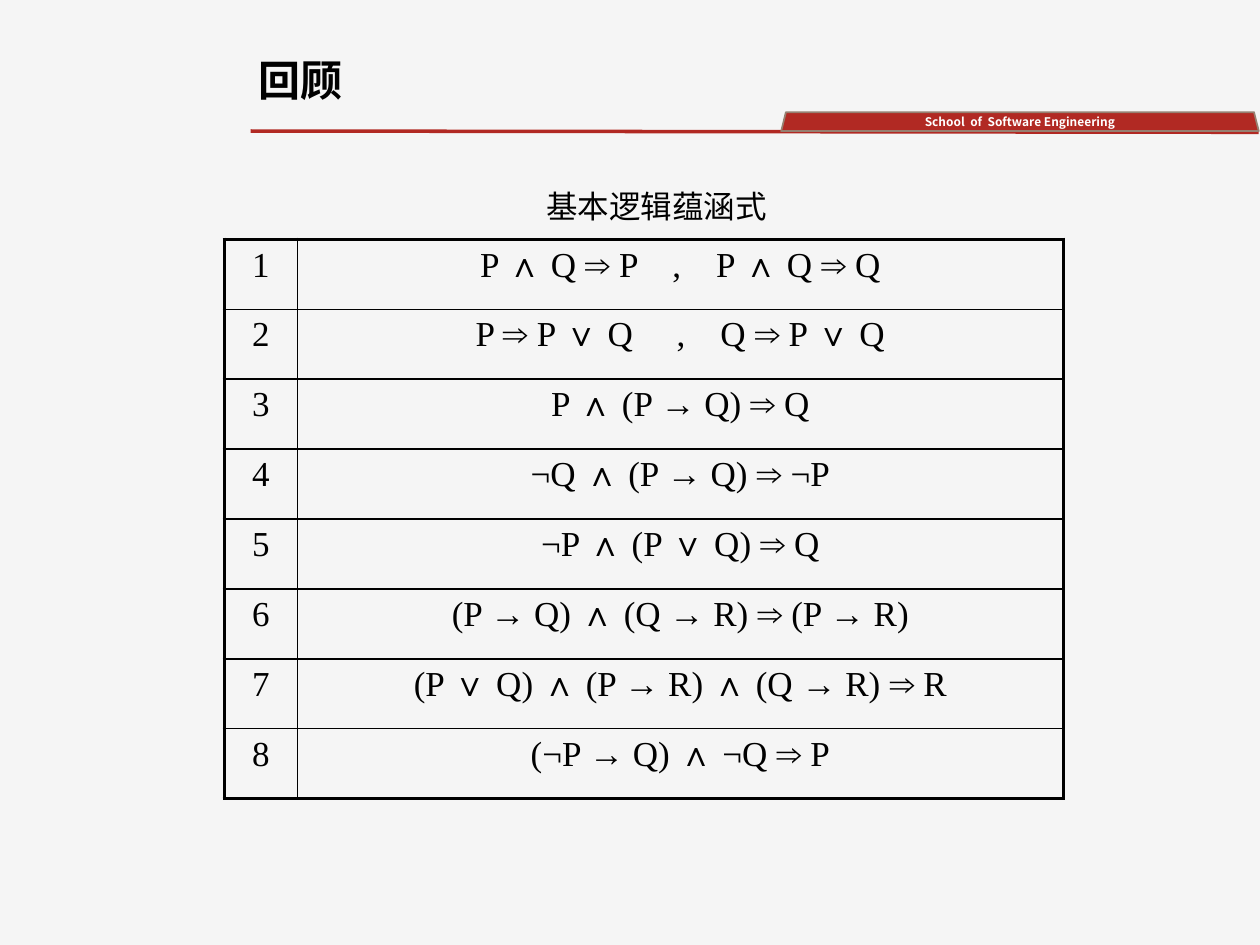
from lxml import etree
from pptx import Presentation
from pptx.dml.color import RGBColor
from pptx.enum.shapes import MSO_CONNECTOR, MSO_SHAPE
from pptx.enum.text import MSO_ANCHOR, PP_ALIGN
from pptx.oxml.ns import qn
from pptx.util import Inches, Pt

STRAIGHT = MSO_CONNECTOR.STRAIGHT
TRAPEZOID = MSO_SHAPE.TRAPEZOID
LEFT, CENTER = PP_ALIGN.LEFT, PP_ALIGN.CENTER
TOP, MIDDLE = MSO_ANCHOR.TOP, MSO_ANCHOR.MIDDLE

SANS, SERIF = "Noto Sans CJK SC", "Times New Roman"
BLACK, WHITE, RED, TAUPE, PAPER = "000000", "FFFFFF", "B12923", "968071", "F5F5F5"
THIN, THICK = 1, 2.25

IMPLICATIONS = [
    "P ∧ Q ⇒ P    ,    P ∧ Q ⇒ Q",
    "P ⇒ P ∨ Q     ,    Q ⇒ P ∨ Q",
    "P ∧ (P → Q) ⇒ Q",
    "¬Q ∧ (P → Q) ⇒ ¬P",
    "¬P ∧ (P ∨ Q) ⇒ Q",
    "(P → Q) ∧ (Q → R) ⇒ (P → R)",
    "(P ∨ Q) ∧ (P → R) ∧ (Q → R) ⇒ R",
    "(¬P → Q) ∧ ¬Q ⇒ P",
]


def rgb(value):
    """Turn a hex string into a colour."""
    return RGBColor.from_string(value)


def add_run(p, text, size, font, color=BLACK, bold=False):
    """Add one formatted run to a paragraph."""
    r = p.add_run()
    r.text = text
    r.font.size, r.font.name, r.font.bold = Pt(size), font, bold
    r.font.color.rgb = rgb(color)
    if font == SANS:
        etree.SubElement(r.font._element, qn("a:ea")).set("typeface", font)


def add_text(slide, box, text, size, align, bold=False):
    """Place a single-paragraph text box."""
    tf = slide.shapes.add_textbox(*map(Inches, box)).text_frame
    tf.word_wrap = True
    tf.vertical_anchor = TOP
    tf.margin_left = tf.margin_right = Inches(0.08)
    tf.margin_top = tf.margin_bottom = 0
    p = tf.paragraphs[0]
    p.alignment, p.line_spacing = align, 0.9
    add_run(p, text, size, SANS, bold=bold)


def add_banner(slide, box):
    """Draw the red rule and the school tab at its right end."""
    left, top, width, height = box
    right, bottom = left + width, top + height
    line = slide.shapes.add_connector(
        STRAIGHT, Inches(left), Inches(bottom), Inches(right), Inches(bottom + 0.01))
    line.line.color.rgb = rgb(RED)
    line.line.width = Pt(2)
    etree.SubElement(line._element.spPr, qn("a:effectLst"))

    tab = 3.79
    sp = slide.shapes.add_shape(
        TRAPEZOID, Inches(right - tab), Inches(top), Inches(tab), Inches(height))
    sp.shadow.inherit = False
    sp.fill.solid()
    sp.fill.fore_color.rgb = rgb(RED)
    sp.line.color.rgb = rgb(TAUPE)
    sp.line.width = Pt(1)
    tf = sp.text_frame
    tf.margin_top = tf.margin_bottom = 0
    tf.vertical_anchor = MIDDLE
    p = tf.paragraphs[0]
    p.alignment = CENTER
    add_run(p, "School  of  Software Engineering", 6.8, SANS, WHITE, True)


def set_border(cell, side, width):
    """Give one side of a cell a solid black border."""
    ln = etree.SubElement(cell._tc.get_or_add_tcPr(), qn(f"a:ln{side}"), w=str(Pt(width)))
    fill = etree.SubElement(ln, qn("a:solidFill"))
    etree.SubElement(fill, qn("a:srgbClr"), val=BLACK)


def add_rules_table(slide, box):
    """Build the numbered table of implications."""
    left, top, width, height = box
    count = len(IMPLICATIONS)
    table = slide.shapes.add_table(count, 2, *map(Inches, box)).table
    table.first_row = table.horz_banding = False
    number_width = 0.58
    table.columns[0].width = Inches(number_width)
    table.columns[1].width = Inches(width - number_width)
    for i, rule in enumerate(IMPLICATIONS):
        table.rows[i].height = Inches(height / count)
        for j, text in enumerate((str(i + 1), rule)):
            cell = table.cell(i, j)
            outer = {"L": j == 0, "R": j == 1, "T": i == 0, "B": i == count - 1}
            for side, is_outer in outer.items():
                set_border(cell, side, THICK if is_outer else THIN)
            cell.fill.background()
            cell.vertical_anchor = TOP
            p = cell.text_frame.paragraphs[0]
            p.alignment = CENTER
            add_run(p, text, 20, SERIF)


def main():
    """Build and save the slide."""
    prs = Presentation()
    prs.slide_width, prs.slide_height = Inches(10), Inches(7.5)
    slide = prs.slides.add_slide(prs.slide_layouts[6])
    slide.background.fill.solid()
    slide.background.fill.fore_color.rgb = rgb(PAPER)
    add_banner(slide, (1.99, 0.89, 8, 0.15))
    add_text(slide, (1.97, 0.48, 4.55, 0.56), "回顾", 24, LEFT, True)
    add_text(slide, (0.75, 1.52, 8.92, 0.36), "基本逻辑蕴涵式", 18, CENTER)
    add_rules_table(slide, (1.78, 1.9, 6.66, 4.44))
    prs.save("out.pptx")


if __name__ == "__main__":
    main()
